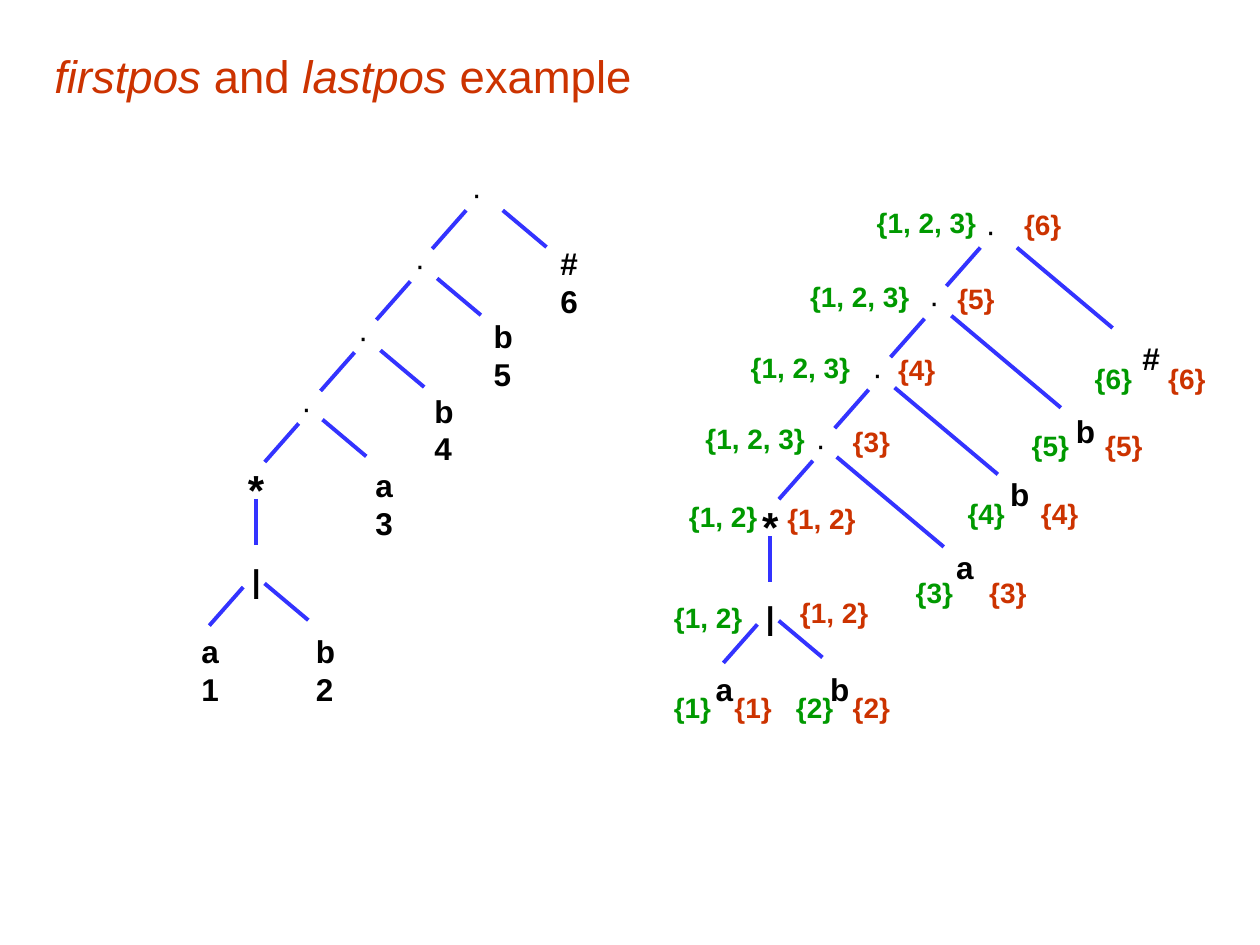
from lxml import etree
from pptx import Presentation
from pptx.dml.color import RGBColor
from pptx.enum.shapes import MSO_CONNECTOR
from pptx.enum.text import MSO_ANCHOR, MSO_AUTO_SIZE, PP_ALIGN
from pptx.oxml.ns import qn
from pptx.util import Pt

STRAIGHT = MSO_CONNECTOR.STRAIGHT
MIDDLE = MSO_ANCHOR.MIDDLE
FIXED, GROW = MSO_AUTO_SIZE.NONE, MSO_AUTO_SIZE.SHAPE_TO_FIT_TEXT
LEFT = PP_ALIGN.LEFT
TITLE_ONLY = 5

BLACK, BLUE, GREEN, RED = "000000", "3333FF", "009900", "CC3300"
SLOPE = 0.84  # fall of every right branch per point of width

# Upper left corners of the right-hand leaves, top down
LEAVES = "#bba"
NEAR = [(313.2, 136.1), (275, 177.8), (241.2, 220.3), (207.4, 262.8)]
FAR = [(645.8, 190.1), (607.7, 231.8), (570.2, 267.8), (539.3, 309.6)]
# Starts of the right-hand branches, top down
FORKS = [(287.3, 120.2), (249.8, 159.1), (217.4, 200.2), (184.3, 239.8)]

# firstpos, lastpos, left and top of firstpos, then the step to lastpos
SETS = [
    ("{1}", "{1}", 378, 391, 34.6, 0),
    ("{2}", "{2}", 447.8, 391, 32.4, 0),
    ("{1, 2}", "{1, 2}", 378, 339.8, 72, -2.8),
    ("{1, 2}", "{1, 2}", 386.6, 282.2, 56.2, 0.7),
    ("{1, 2, 3}", "{3}", 396, 237.6, 84.2, 1.2),
    ("{1, 2, 3}", "{4}", 421.9, 196.6, 84.2, 1.2),
    ("{1, 2, 3}", "{5}", 455.8, 156.2, 84.2, 1.2),
    ("{1, 2, 3}", "{6}", 493.9, 113.8, 84.2, 1.2),
    ("{3}", "{3}", 516.2, 325.4, 42, 0),
    ("{4}", "{4}", 545.8, 280.1, 42, 0),
    ("{5}", "{5}", 582.5, 241.2, 42, 0),
    ("{6}", "{6}", 618.5, 203, 42, 0),
]
WIDTHS = {"{1}": 36, "{1, 2}": 54, "{1, 2, 3}": 71.3}


def color(code):
    return RGBColor.from_string(code)


def write(frame, lines, size=18, tint=BLACK, bold=True):
    """Fill a frame; each line is a list of (text, italic) runs."""
    for i, line in enumerate(lines):
        para = frame.paragraphs[0] if i == 0 else frame.add_paragraph()
        para.alignment = LEFT
        for text, slant in line:
            run = para.add_run()
            run.text = text
            font = run.font
            font.name, font.size = "Arial", Pt(size)
            font.bold, font.italic = bold, slant
            font.color.rgb = color(tint)


class Board:
    def __init__(self, deck):
        self.slide = deck.slides.add_slide(deck.slide_layouts[TITLE_ONLY])
        self.group = None

    def title(self, runs):
        box = self.slide.shapes.title
        box.left, box.top = Pt(23.8), Pt(18)
        box.width, box.height = Pt(676.8), Pt(50.4)
        frame = box.text_frame
        frame.auto_size, frame.vertical_anchor = FIXED, MIDDLE
        write(frame, [runs], size=26, tint=RED, bold=False)

    def start(self):
        """Open a new group for the next elements."""
        self.group = self.slide.shapes.add_group_shape()

    def label(self, text, x, y, width=24.5, height=28.8, **style):
        box = self.group.shapes.add_textbox(Pt(x), Pt(y), Pt(width), Pt(height))
        frame = box.text_frame
        frame.word_wrap, frame.auto_size = False, GROW
        write(frame, [[(line, False)] for line in text.split("\n")], **style)

    def branch(self, x, y, dx, dy):
        line = self.group.shapes.add_connector(
            STRAIGHT, Pt(x), Pt(y), Pt(x + dx), Pt(y + dy))
        line.line.color.rgb = color(BLUE)
        line.line.width = Pt(2.25)
        etree.SubElement(line._element.spPr, qn("a:effectLst"))

    def tree(self, x, y, spots, spans, ranks):
        """Draw a syntax tree moved by x, y; ranks tells whether leaves are numbered."""
        self.start()

        def leaf(mark, rank, left, top):
            text = f"{mark}\n{rank}" if ranks else mark
            self.label(text, left, top, height=50.4 if ranks else 28.8)

        for i, (mark, spot, fork, span) in enumerate(zip(LEAVES, spots, FORKS, spans)):
            self.label("∙", x + 262.8 - 32.4 * i, y + 95.8 + 40.8 * i,
                       width=23, bold=False)
            self.branch(x + 266.4 - 31.9 * i, y + 120.2 + 40.6 * i, -19.4, 22)
            self.branch(x + fork[0], y + fork[1], span, span * SLOPE)
            leaf(mark, 6 - i, *spot)
        self.label("*", x + 134.6, y + 261.4, width=23.8, height=36, size=24)
        self.branch(x + 146.2, y + 285.1, 0, 26.1)
        self.label("|", x + 136.8, y + 316.8, width=19.4)
        self.branch(x + 139, y + 335.5, -19.4, 22)
        self.branch(x + 151.2, y + 333.4, 25, 25 * SLOPE)
        leaf("a", 1, x + 108, y + 357.8)
        leaf("b", 2, x + 173.5, y + 357.8)

    def sets(self):
        for first, last, x, y, dx, dy in SETS:
            for text, left, top, tint in ((first, x, y, GREEN),
                                          (last, x + dx, y + dy, RED)):
                self.label(text, left, top, width=WIDTHS.get(text, 36),
                           height=26.6, size=16, tint=tint)


def main():
    deck = Presentation()
    deck.slide_width, deck.slide_height = Pt(720), Pt(540)
    board = Board(deck)
    board.title([("firstpos", True), (" and ", False),
                 ("lastpos", True), (" example", False)])
    board.tree(0, 0, NEAR, [25] * 4, True)
    board.tree(293.8, 21.3, FAR, [54.7, 62.6, 59, 61.2], False)
    board.sets()
    deck.save("out.pptx")


if __name__ == "__main__":
    main()
